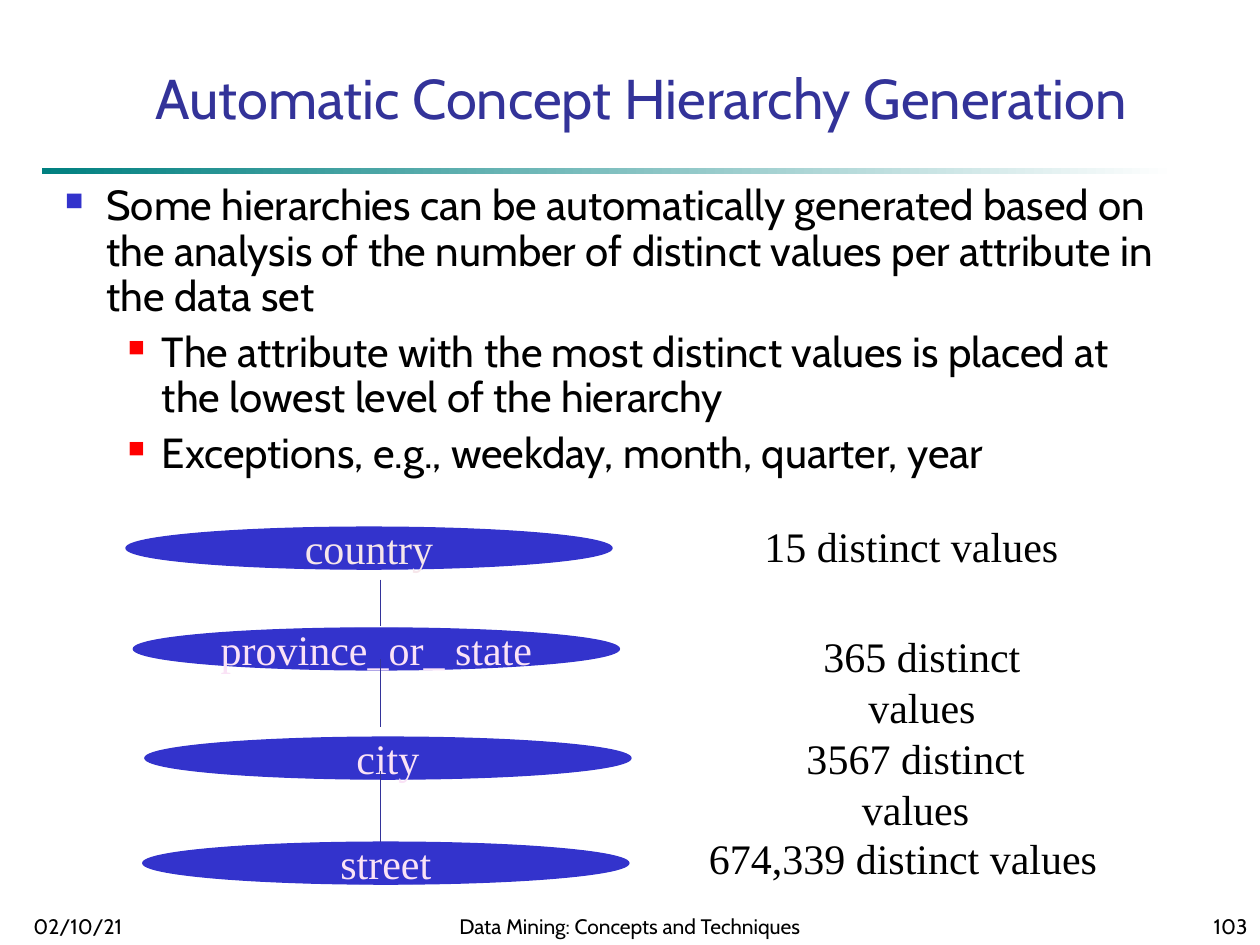
from dataclasses import dataclass

from pptx import Presentation, util as u
from pptx.dml.color import RGBColor
from pptx.enum import shapes, text
from pptx.oxml.ns import qn
from lxml import etree

COLUMNS, ROWS = 120, 90  # grid of the whole slide
CELL = u.Inches(10) // COLUMNS


@dataclass(frozen=True)
class Theme:
    sans: str = "Cabin"
    serif: str = "Times New Roman"
    title_size: int = 32
    body_size: int = 24
    footer_size: int = 12
    ink: str = "000000"
    title: str = "333399"
    node: str = "3333CC"
    sub_bullet: str = "FF0000"
    top_label: str = "F6E6EA"
    node_label: str = "FAE2F6"
    rule: str = "008080"
    paper: str = "FFFFFF"


THEME = Theme()
ALIGN = text.PP_ALIGN
ANCHOR = text.MSO_ANCHOR


def rgb(color):
    return RGBColor.from_string(color)


def cells(*counts):
    return [round(count * CELL) for count in counts]


def style(paragraph, size, font, color, align=ALIGN.LEFT):
    paragraph.alignment = align
    paragraph.font.size = u.Pt(size)
    paragraph.font.name = font
    paragraph.font.color.rgb = rgb(color)


def add_label(slide, box, words, size, font, color, align, anchor, wrap=True):
    frame = slide.shapes.add_textbox(*cells(*box)).text_frame
    frame.word_wrap = wrap
    frame.vertical_anchor = anchor
    frame.text = words
    style(frame.paragraphs[0], size, font, color, align)


def add_bullet(paragraph, color, percent, margin, hang):
    props = paragraph._p.get_or_add_pPr()
    props.set("marL", str(u.Inches(margin)))
    props.set("indent", str(-u.Inches(hang)))
    bullet_color = etree.SubElement(props, qn("a:buClr"))
    etree.SubElement(bullet_color, qn("a:srgbClr"), val=color)
    etree.SubElement(props, qn("a:buSzPct"), val=str(percent * 1000))
    etree.SubElement(props, qn("a:buChar"), char="■")


def add_header(slide, title_box, rule_box):
    add_label(slide, title_box, "Automatic Concept Hierarchy Generation",
              THEME.title_size, THEME.sans, THEME.title, ALIGN.CENTER, ANCHOR.BOTTOM)
    # Rule fading out to the right
    rule = slide.shapes.add_shape(shapes.MSO_SHAPE.RECTANGLE, *cells(*rule_box))
    rule.shadow.inherit = False
    rule.line.fill.background()
    rule.fill.gradient()
    rule.fill.gradient_angle = 180
    for stop, color in zip(rule.fill.gradient_stops, (THEME.paper, THEME.rule)):
        stop.color.rgb = rgb(color)


def add_points(slide, box):
    points = [
        (0, "Some hierarchies can be automatically generated based on the analysis "
            "of the number of distinct values per attribute in the data set"),
        (1, "The attribute with the most distinct values is placed at the lowest "
            "level of the hierarchy"),
        (1, "Exceptions, e.g., weekday, month, quarter, year"),
    ]
    bullets = [(THEME.node, 60, 0.33, 0.33), (THEME.sub_bullet, 55, 0.77, 0.27)]
    frame = slide.shapes.add_textbox(*cells(*box)).text_frame
    frame.word_wrap = True
    for index, (level, words) in enumerate(points):
        point = frame.add_paragraph() if index else frame.paragraphs[0]
        point.text = words
        point.level = level
        point.line_spacing = 0.9
        point.space_before = u.Pt(6 if index else 0)
        add_bullet(point, *bullets[level])
        style(point, THEME.body_size, THEME.sans, THEME.ink)


def add_hierarchy(slide, box):
    left, top, width, height = box
    node_width, node_height = 46.3, 4
    # Attribute, its offset; count, its centre, top and width
    levels = [
        ("country", 0, 1.2, "15 distinct values", 74.8, 0, 30.4),
        ("province_or_ state", 0.7, 10.8, "365 distinct values", 75.8, 10.5, 31.5),
        ("city", 1.8, 21.2, "3567 distinct values", 75.2, 20.2, 34.3),
        ("street", 1.6, 31.2, "674,339 distinct values", 74, 29.7, 39.4),
    ]
    for index, (attribute, x, y, count, center, count_top, count_width) in enumerate(levels):
        node = slide.shapes.add_shape(
            shapes.MSO_SHAPE.OVAL, *cells(left + x, top + y, node_width, node_height))
        node.shadow.inherit = False
        node.fill.solid()
        node.fill.fore_color.rgb = node.line.color.rgb = rgb(THEME.node)
        node.line.width = u.Pt(0.75)
        frame = node.text_frame
        frame.word_wrap = False
        frame.vertical_anchor = ANCHOR.MIDDLE
        frame.text = attribute
        style(frame.paragraphs[0], THEME.body_size, THEME.serif,
              THEME.node_label if index else THEME.top_label, ALIGN.CENTER)

        # Only the second count breaks over two lines
        wraps = index == 1
        add_label(slide, (left + center - count_width / 2, top + count_top,
                          count_width, 10.8 if wraps else 6),
                  count, THEME.body_size, THEME.serif, THEME.ink,
                  ALIGN.CENTER, ANCHOR.TOP, wrap=wraps)

    # Links between neighbouring levels
    link_x = left + 24.24
    for start, end in [(6.2, 10.6), (13.8, 20.2), (24.4, 31.2)]:
        link = slide.shapes.add_connector(
            shapes.MSO_CONNECTOR.STRAIGHT, *cells(link_x, top + start, link_x, top + end))
        link.line.color.rgb = rgb(THEME.title)
        link.line.width = u.Pt(0.75)
        etree.SubElement(link._element.spPr, qn("a:effectLst"))


def add_footer(slide, box):
    left, top, width, height = box
    parts = [
        ("02/10/21", 0, 25, ALIGN.LEFT),
        ("Data Mining: Concepts and Techniques", 39, 38, ALIGN.CENTER),
        ("103", width - 25, 25, ALIGN.RIGHT),
    ]
    for words, x, part_width, align in parts:
        add_label(slide, (left + x, top, part_width, height), words,
                  THEME.footer_size, THEME.sans, THEME.ink, align, ANCHOR.BOTTOM)


def main():
    deck = Presentation()
    deck.slide_width, deck.slide_height = cells(COLUMNS, ROWS)
    slide = deck.slides.add_slide(deck.slide_layouts[6])
    add_header(slide, title_box=(10, 4, 102.2, 9), rule_box=(4, 16, 108, 0.6))
    add_points(slide, (5, 17, 106, 30))
    add_hierarchy(slide, (12, 49, 94, 36))
    add_footer(slide, (2, 85, 118, 5))
    deck.save("out.pptx")


if __name__ == "__main__":
    main()
